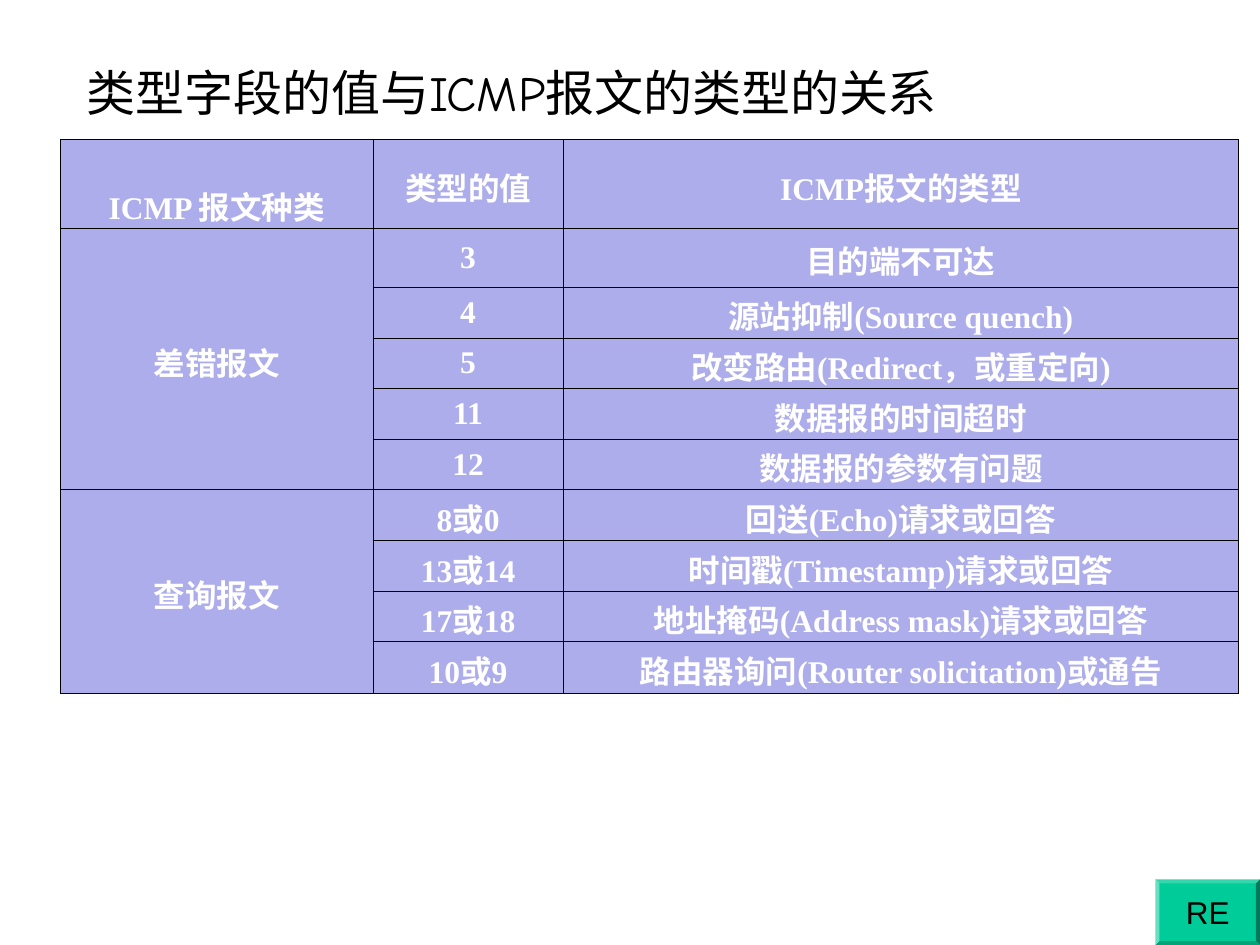
from pptx import Presentation
from pptx.dml.color import RGBColor
from pptx.enum.shapes import MSO_SHAPE
from pptx.enum.text import MSO_ANCHOR, PP_ALIGN
from pptx.oxml import parse_xml
from pptx.oxml.ns import nsdecls
from pptx.util import Inches, Pt

BLACK = RGBColor(0x00, 0x00, 0x00)
WHITE = RGBColor(0xFF, 0xFF, 0xFF)
LAVENDER = RGBColor(0xAD, 0xAD, 0xEB)
GREEN = RGBColor(0x00, 0xCC, 0x99)

# Content
TITLE = "类型字段的值与ICMP报文的类型的关系"
HEADER = ("ICMP 报文种类", "类型的值", "ICMP报文的类型")
GROUPS = [
    ("差错报文", [
        ("3", "目的端不可达"),
        ("4", "源站抑制(Source quench)"),
        ("5", "改变路由(Redirect，或重定向)"),
        ("11", "数据报的时间超时"),
        ("12", "数据报的参数有问题"),
    ]),
    ("查询报文", [
        ("8或0", "回送(Echo)请求或回答"),
        ("13或14", "时间戳(Timestamp)请求或回答"),
        ("17或18", "地址掩码(Address mask)请求或回答"),
        ("10或9", "路由器询问(Router solicitation)或通告"),
    ]),
]
BUTTON = "RE"

# Layout and formats
COLUMN_WIDTHS = [2.48, 1.51, 5.36]
ROW_HEIGHTS = [0.7, 0.47] + [0.4] * 7 + [0.41]
BORDER_POINTS = 0.45
TITLE_FONT = {"name": "Comic Neue", "size": Pt(28)}
CELL_FONT = {"name": "Times New Roman", "size": Pt(18), "bold": True}
BUTTON_FONT = {"name": "Arial", "size": Pt(18)}


def write(frame, text, font, color, alignment):
    paragraph = frame.paragraphs[0]
    paragraph.alignment = alignment
    run = paragraph.add_run()
    run.text = text
    for name, value in font.items():
        setattr(run.font, name, value)
    run.font.color.rgb = color


def add_borders(cell):
    properties = cell._tc.get_or_add_tcPr()
    for position, side in enumerate(("lnL", "lnR", "lnT", "lnB")):
        properties.insert(position, parse_xml(
            f'<a:{side} {nsdecls("a")} w="{int(Pt(BORDER_POINTS))}"><a:solidFill>'
            f'<a:srgbClr val="{BLACK}"/></a:solidFill></a:{side}>'))


def fill_cell(cell, text):
    cell.vertical_anchor = MSO_ANCHOR.MIDDLE
    cell.margin_top = Inches(0.04)
    cell.margin_bottom = Inches(0.04 if text.isdigit() else 0)
    write(cell.text_frame, text, CELL_FONT, WHITE, PP_ALIGN.CENTER)


presentation = Presentation()
presentation.slide_width, presentation.slide_height = Inches(10), Inches(7.5)
slide = presentation.slides.add_slide(presentation.slide_layouts[6])

# Table of message types
table = slide.shapes.add_table(
    len(ROW_HEIGHTS), len(COLUMN_WIDTHS), Inches(0.48), Inches(1.11),
    Inches(sum(COLUMN_WIDTHS)), Inches(sum(ROW_HEIGHTS))).table
table.first_row = table.horz_banding = False
for column, width in zip(table.columns, COLUMN_WIDTHS):
    column.width = Inches(width)
for row, height in zip(table.rows, ROW_HEIGHTS):
    row.height = Inches(height)
for cell in table.iter_cells():
    cell.fill.solid()
    cell.fill.fore_color.rgb = LAVENDER
    add_borders(cell)

for column_index, text in enumerate(HEADER):
    fill_cell(table.cell(0, column_index), text)
table.cell(0, 0).vertical_anchor = MSO_ANCHOR.BOTTOM

first = 1
for group, messages in GROUPS:
    last = first + len(messages) - 1
    table.cell(first, 0).merge(table.cell(last, 0))
    fill_cell(table.cell(first, 0), group)
    for row_index, message in enumerate(messages, first):
        for column_index, text in enumerate(message, 1):
            fill_cell(table.cell(row_index, column_index), text)
    first = last + 1

# Title
title = slide.shapes.add_textbox(Inches(0.59), Inches(0.44), Inches(9), Inches(0.58))
title.text_frame.word_wrap = True
title.text_frame.vertical_anchor = MSO_ANCHOR.MIDDLE
write(title.text_frame, TITLE, TITLE_FONT, BLACK, PP_ALIGN.LEFT)

# Return button in the corner
button = slide.shapes.add_shape(
    MSO_SHAPE.BEVEL, Inches(9.17), Inches(6.98), Inches(0.83), Inches(0.52))
button.adjustments[0] = 0.06
button.shadow.inherit = False
button.fill.solid()
button.fill.fore_color.rgb = GREEN
button.line.fill.background()
button.text_frame.word_wrap = False
button.text_frame.vertical_anchor = MSO_ANCHOR.MIDDLE
write(button.text_frame, BUTTON, BUTTON_FONT, BLACK, PP_ALIGN.CENTER)

presentation.save("out.pptx")
